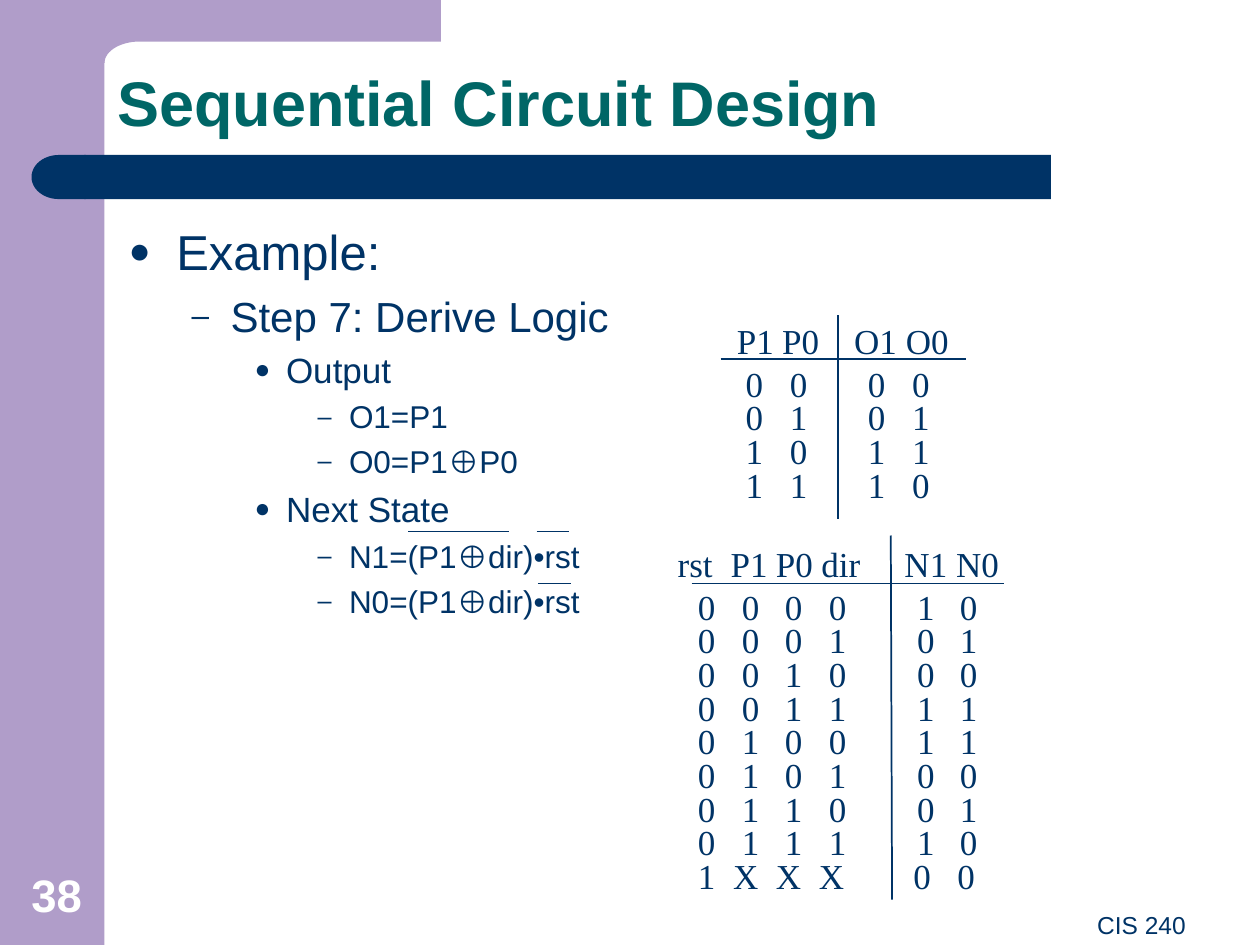
"""Build the Sequential Circuit Design slide on deriving logic from truth tables."""
import math

import pptx
import pptx.dml.color
import pptx.enum.shapes
import pptx.enum.text
import pptx.oxml.ns
import pptx.util
from lxml import etree

Inches, Pt = pptx.util.Inches, pptx.util.Pt
SHAPE = pptx.enum.shapes.MSO_SHAPE
ALIGN = pptx.enum.text.PP_ALIGN
ANCHOR = pptx.enum.text.MSO_ANCHOR
qn = pptx.oxml.ns.qn
COLORS = {"lilac": "B09DC9", "navy": "003366", "teal": "006666", "white": "FFFFFF"}
RGB = {name: pptx.dml.color.RGBColor.from_string(value) for name, value in COLORS.items()}


def add_line(paragraph, text, color, tabs=(), **font):
    """Fill a paragraph with one formatted run and optional tab stops in inches."""
    if tabs:
        stops = etree.SubElement(paragraph._p.get_or_add_pPr(), qn("a:tabLst"))
        for stop in tabs:
            etree.SubElement(stops, qn("a:tab"), pos=str(Inches(stop)), algn="l")
    run = paragraph.add_run()
    run.text = text
    run.font.color.rgb = RGB[color]
    for key, value in font.items():
        setattr(run.font, key, value)


def add_frame(left, top, width, height):
    """Add a wrapping text box and return its text frame."""
    box = slide.shapes.add_textbox(Inches(left), Inches(top), Inches(width), Inches(height))
    box.text_frame.word_wrap = True
    return box.text_frame


deck = pptx.Presentation()
deck.slide_width, deck.slide_height = Inches(10), Inches(7.5)
slide = deck.slides.add_slide(deck.slide_layouts[1])
title, body = slide.shapes.title, slide.placeholders[1]

side_band = slide.shapes.add_shape(SHAPE.RECTANGLE, 0, 0, Inches(0.83), Inches(7.5))
arc = [
    (1.11 - 0.28 * math.sin(angle), 0.5 - 0.17 * math.cos(angle))
    for angle in (math.radians(step) for step in range(0, 91, 6))
]
outline = [(3.5, 0), (3.5, 0.33), *arc, (0.5, 0.5), (0.5, 0)]
corner_points = [(Inches(x), Inches(y)) for x, y in outline]
builder = slide.shapes.build_freeform(*corner_points[0])
builder.add_line_segments(corner_points[1:], close=True)
corner = builder.convert_to_shape()
title_bar = slide.shapes.add_shape(
    SHAPE.RECTANGLE, Inches(0.67), Inches(1.23), Inches(7.67), Inches(0.35))
bar_cap = slide.shapes.add_shape(
    SHAPE.FLOWCHART_DELAY, Inches(0.25), Inches(1.23), Inches(0.43), Inches(0.35))
bar_cap.rotation = 180
for decoration, color in (
    (side_band, "lilac"), (corner, "lilac"), (title_bar, "navy"), (bar_cap, "navy"),
):
    decoration.shadow.inherit = False
    decoration.fill.solid()
    decoration.fill.fore_color.rgb = RGB[color]
    decoration.line.fill.background()

for holder, (left, top, width, height), anchor in (
    (title, (0.83, 0.33, 8.67, 0.83), ANCHOR.BOTTOM),
    (body, (0.92, 1.71, 8.41, 4.95), ANCHOR.TOP),
):
    holder.left, holder.top = Inches(left), Inches(top)
    holder.width, holder.height = Inches(width), Inches(height)
    frame_format = {
        "vertical_anchor": anchor,
        "auto_size": pptx.enum.text.MSO_AUTO_SIZE.NONE,
        "word_wrap": True,
    }
    for key, value in frame_format.items():
        setattr(holder.text_frame, key, value)

heading = title.text_frame.paragraphs[0]
heading.alignment, heading.line_spacing = ALIGN.LEFT, 0.9
add_line(heading, "Sequential Circuit Design", "teal", size=Pt(36), name="Arial", bold=True)

LEVELS = [
    {"size": 28, "before": 0, "margin": 0.38, "hang": 0.38, "bullet": "●", "scale": 75},
    {"size": 24, "before": 5.5, "margin": 0.81, "hang": 0.31, "bullet": "–", "scale": 75},
    {"size": 20, "before": 4.5, "margin": 1.25, "hang": 0.25, "bullet": "●", "scale": 75},
    {"size": 18, "before": 4, "margin": 1.75, "hang": 0.25, "bullet": "–", "scale": 80},
]
steps = [
    (0, "Example:"),
    (1, "Step 7: Derive Logic"),
    (2, "Output"),
    (3, "O1=P1"),
    (3, "O0=P1⊕P0"),
    (2, "Next State"),
    (3, "N1=(P1⊕dir)•rst"),
    (3, "N0=(P1⊕dir)•rst"),
]
for index, (level, text) in enumerate(steps):
    style = LEVELS[level]
    item = body.text_frame.add_paragraph() if index else body.text_frame.paragraphs[0]
    item.level, item.space_before = level, Pt(style["before"])
    properties = item._p.get_or_add_pPr()
    properties.set("marL", str(Inches(style["margin"])))
    properties.set("indent", str(-Inches(style["hang"])))
    bullet_color = etree.SubElement(properties, qn("a:buClr"))
    etree.SubElement(bullet_color, qn("a:srgbClr"), val=COLORS["navy"])
    etree.SubElement(properties, qn("a:buSzPct"), val=str(style["scale"] * 1000))
    etree.SubElement(properties, qn("a:buFont"), typeface="Arial")
    etree.SubElement(properties, qn("a:buChar"), char=style["bullet"])
    add_line(item, text, "navy", size=Pt(style["size"]), name="Arial")

OUTPUT_STOPS = (0.35, 0.97, 1.32)
STATE_STOPS = (0.35, 0.69, 1.04, 1.74, 2.08)
DONT_CARE_STOPS = (0.28, 0.62, 0.96, 1.71, 2.06)
truth_blocks = [
    ((5.75, 2.49, 2.15, 0.43), 1, [("P1 P0 O1 O0", (0.36, 0.93, 1.34))]),
    ((5.82, 2.89, 2.17, 1.17), 0.8,
     [(" ".join(row), OUTPUT_STOPS) for row in ("0000", "0101", "1011", "1110")]),
    ((5.28, 4.26, 3.08, 0.43), 1,
     [("rst P1 P0 dir N1 N0", (0.42, 0.78, 1.14, 1.8, 2.21))]),
    ((5.44, 4.66, 3.14, 2.51), 0.8,
     [(" ".join(row), STATE_STOPS) for row in (
         "000010", "000101", "001000", "001111", "010011", "010100", "011001", "011110")]
     + [("1 X X X 0 0", DONT_CARE_STOPS)]),
]
for place, spacing, rows in truth_blocks:
    block = add_frame(*place)
    for index, (cells, stops) in enumerate(rows):
        row = block.add_paragraph() if index else block.paragraphs[0]
        row.line_spacing = spacing
        add_line(row, cells.replace(" ", "\t"), "navy", stops,
                 size=Pt(20), name="Times New Roman")

rules = [
    (5.72, 2.85, 7.67, 2.85, 1),
    (6.65, 2.5, 6.65, 4.12, 1),
    (5.49, 4.63, 7.97, 4.63, 1),
    (7.07, 4.25, 7.08, 7.14, 1),
    (3.24, 4.22, 4.04, 4.22, 0.75),
    (4.26, 4.22, 4.52, 4.22, 0.75),
    (4.27, 4.63, 4.53, 4.63, 0.75),
]
for *ends, weight in rules:
    rule = slide.shapes.add_connector(
        pptx.enum.shapes.MSO_CONNECTOR.STRAIGHT, *map(Inches, ends))
    rule.line.color.rgb, rule.line.width = RGB["navy"], Pt(weight)
    etree.SubElement(rule._element.spPr, qn("a:effectLst"))

page_number = add_frame(0, 6.83, 0.9, 0.53)
page_number.vertical_anchor = ANCHOR.BOTTOM
page_number.paragraphs[0].alignment = ALIGN.CENTER
add_line(page_number.paragraphs[0], "38", "white", size=Pt(26), name="Arial", bold=True)

course = add_frame(3.42, 7.17, 6.09, 0.52)
course.paragraphs[0].alignment = ALIGN.RIGHT
add_line(course.paragraphs[0], "CIS 240", "navy", size=Pt(14), name="Arial")

deck.save("out.pptx")
